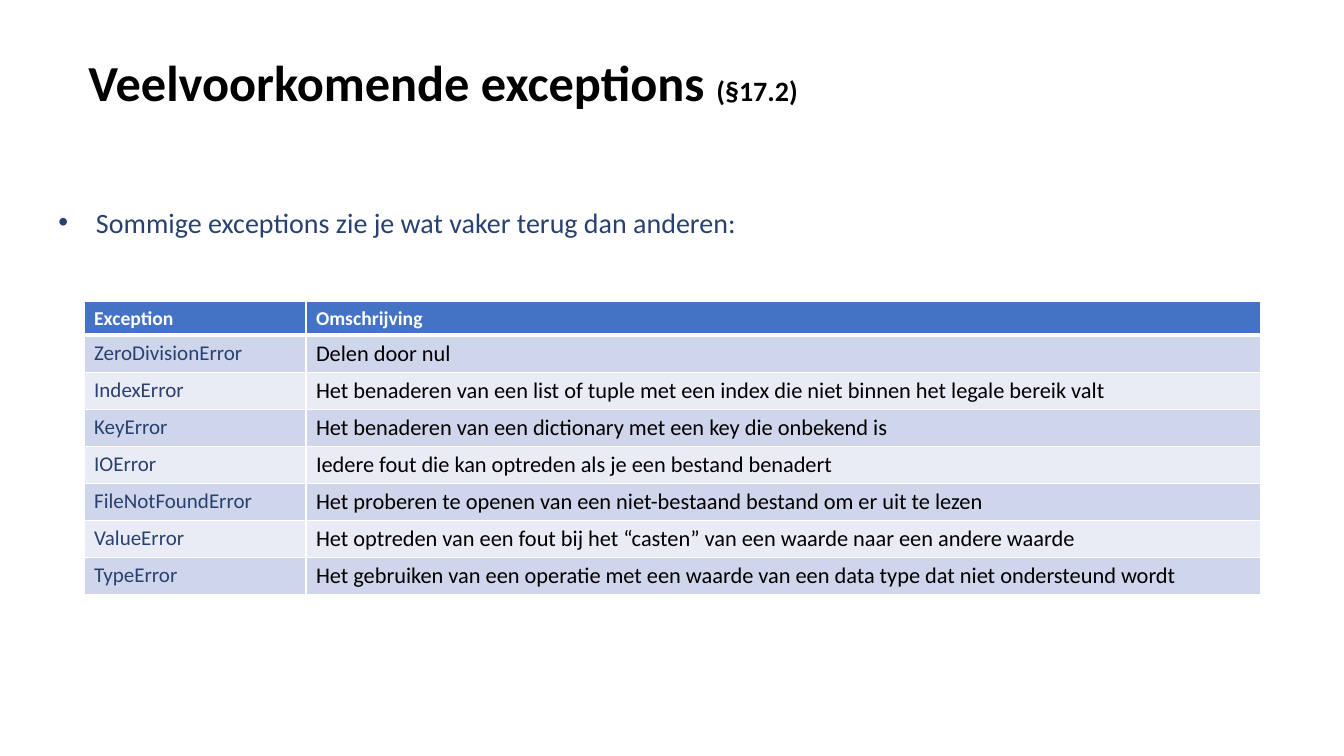
from dataclasses import dataclass

from lxml import etree
from pptx import Presentation
from pptx import util as u
from pptx.dml.color import RGBColor
from pptx.enum import text
from pptx.oxml import ns


@dataclass(frozen=True)
class Theme:
    font: str = "Calibri"
    black: str = "000000"
    white: str = "FFFFFF"
    navy: str = "294171"
    head: str = "4472C4"
    bands: tuple = ("CFD5EA", "E9EBF5")
    title: int = 36
    body: int = 20
    label: int = 14
    name: int = 15
    cell: int = 16
    thin: int = 1
    thick: int = 3


def write(para, words, size, color, font, bold=False):
    run = para.add_run()
    run.text = words
    face = run.font
    face.name, face.size, face.bold = font, u.Pt(size), bold
    face.color.rgb = RGBColor.from_string(color)


def edge(cell, side, width, color):
    """Draw one cell border; side is L, R, T or B."""
    props = cell._tc.get_or_add_tcPr()
    line = etree.SubElement(props, ns.qn("a:ln" + side), w=str(u.Pt(width)))
    fill = etree.SubElement(line, ns.qn("a:solidFill"))
    etree.SubElement(fill, ns.qn("a:srgbClr"), val=color)


class Deck:
    def __init__(self, theme):
        self.theme = theme
        self.file = Presentation()
        self.file.slide_width, self.file.slide_height = u.Cm(33.87), u.Cm(19.05)
        self.slide = self.file.slides.add_slide(self.file.slide_layouts[6])

    def box(self, x, y, w, h, anchor=text.MSO_ANCHOR.TOP):
        """Add a wrapping text box and return its first paragraph."""
        frame = self.slide.shapes.add_textbox(u.Cm(x), u.Cm(y), u.Cm(w), u.Cm(h)).text_frame
        frame.word_wrap = True
        frame.vertical_anchor = anchor
        return frame.paragraphs[0]

    def title(self, main, note):
        t = self.theme
        para = self.box(1.98, 0, 25.22, 4.09, text.MSO_ANCHOR.MIDDLE)
        for words, size in ((main, t.title), (note, t.body)):
            write(para, words, size, t.black, t.font, bold=True)

    def bullet(self, words):
        t = self.theme
        para = self.box(1.22, 5.05, 30.91, 1.12)
        props = para._p.get_or_add_pPr()
        indent = u.Cm(0.95)
        props.set("marL", str(indent))
        props.set("indent", str(-indent))
        etree.SubElement(props, ns.qn("a:buFont"), typeface="Arial")
        etree.SubElement(props, ns.qn("a:buChar"), char="•")
        write(para, words, t.body, t.navy, t.font)

    def cell(self, cell, words, fill, top, base, **style):
        t = self.theme
        for side, width in zip("LRTB", (t.thin, t.thin, top, base)):
            edge(cell, side, width, t.white)
        cell.fill.solid()
        cell.fill.fore_color.rgb = RGBColor.from_string(fill)
        write(cell.text_frame.paragraphs[0], words, font=t.font, **style)

    def table(self, rows):
        t = self.theme
        cols, high = (5.59, 24.06), [0.84] + [0.93] * (len(rows) - 1)
        grid = self.slide.shapes.add_table(
            len(rows), len(cols), u.Cm(2.12), u.Cm(7.6), u.Cm(sum(cols)), u.Cm(sum(high))
        ).table
        for col, width in zip(grid.columns, cols):
            col.width = u.Cm(width)
        label = dict(size=t.label, color=t.white, bold=True)
        name = dict(size=t.name, color=t.navy)
        about = dict(size=t.cell, color=t.black)
        for r, row in enumerate(rows):
            grid.rows[r].height = u.Cm(high[r])
            fill = t.bands[(r - 1) % 2] if r else t.head
            top = t.thick if r == 1 else t.thin
            base = t.thin if r else t.thick
            for c, words in enumerate(row):
                style = (name, about)[c] if r else label
                self.cell(grid.cell(r, c), words, fill, top, base, **style)


ROWS = (
    ("Exception", "Omschrijving"),
    ("ZeroDivisionError", "Delen door nul"),
    ("IndexError", "Het benaderen van een list of tuple met een index die niet binnen het legale bereik valt"),
    ("KeyError", "Het benaderen van een dictionary met een key die onbekend is"),
    ("IOError", "Iedere fout die kan optreden als je een bestand benadert"),
    ("FileNotFoundError", "Het proberen te openen van een niet-bestaand bestand om er uit te lezen"),
    ("ValueError", "Het optreden van een fout bij het “casten” van een waarde naar een andere waarde"),
    ("TypeError", "Het gebruiken van een operatie met een waarde van een data type dat niet ondersteund wordt"),
)


def main():
    deck = Deck(Theme())
    deck.title("Veelvoorkomende exceptions ", "(§17.2)")
    deck.bullet("Sommige exceptions zie je wat vaker terug dan anderen:")
    deck.table(ROWS)
    deck.file.save("out.pptx")


if __name__ == "__main__":
    main()
